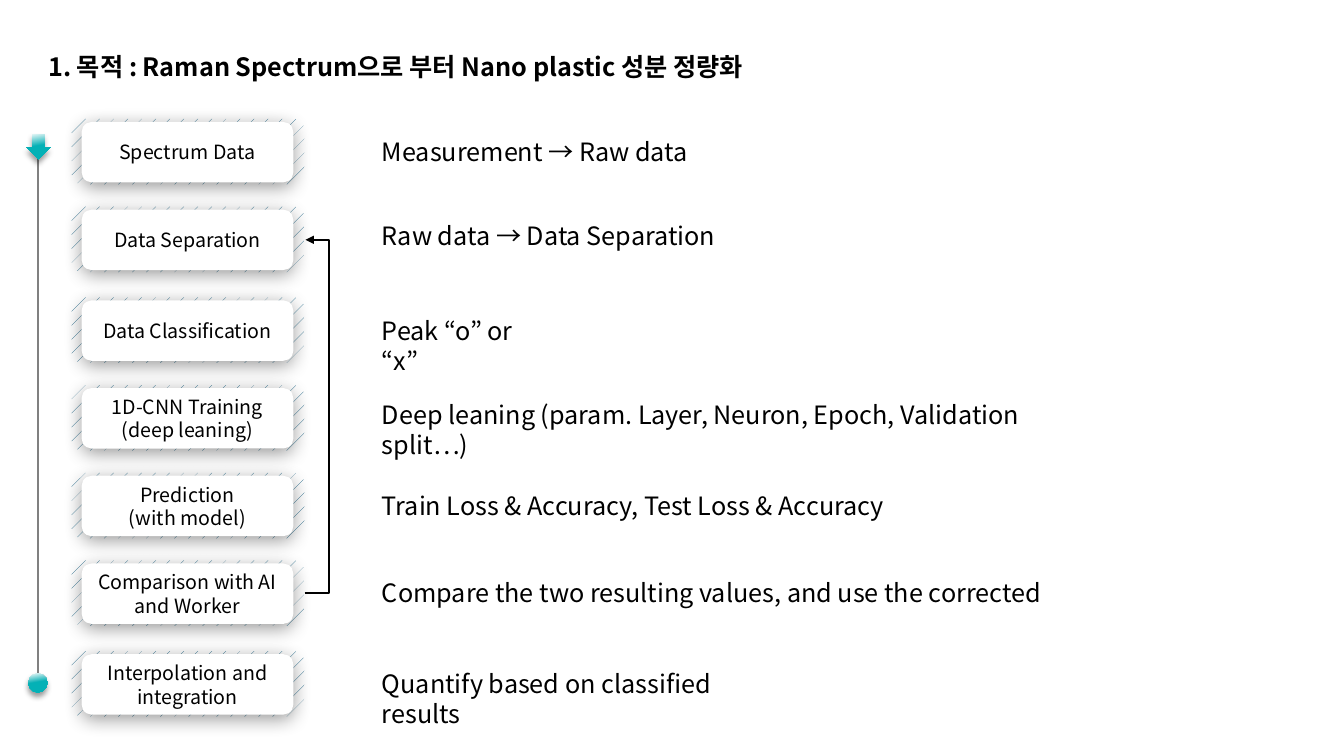
from lxml import etree
from pptx import Presentation
from pptx.dml.color import RGBColor
from pptx.enum.dml import MSO_PATTERN
from pptx.enum.shapes import MSO_CONNECTOR, MSO_SHAPE
from pptx.enum.text import MSO_ANCHOR, PP_ALIGN
from pptx.oxml.ns import qn
from pptx.util import Pt

PX = 9144  # EMU per px, 100 px to the inch
ROUND, DOWN, DOT = MSO_SHAPE.ROUNDED_RECTANGLE, MSO_SHAPE.DOWN_ARROW, MSO_SHAPE.OVAL
STRAIGHT, ELBOW = MSO_CONNECTOR.STRAIGHT, MSO_CONNECTOR.ELBOW
HATCH = MSO_PATTERN.PERCENT_5
TOP, MIDDLE = MSO_ANCHOR.TOP, MSO_ANCHOR.MIDDLE
LEFT, CENTER = PP_ALIGN.LEFT, PP_ALIGN.CENTER

COLORS = {"ink": "000000", "paper": "FFFFFF", "hatch": "156082",
          "teal": "04B1B6", "rail": "808080"}
FONT = "Noto Sans CJK KR"


def rgb(name):
    return RGBColor.from_string(COLORS[name])


class FlowSlide:
    def __init__(self, prs):
        self.s = prs.slides.add_slide(prs.slide_layouts[6])

    def shape(self, kind, box, shapes=None, blur=0):
        shapes = self.s.shapes if shapes is None else shapes
        sp = shapes.add_shape(kind, *(v * PX for v in box))
        sp.line.fill.background()
        sp.shadow.inherit = False
        if blur:
            effects = sp._element.spPr.find(qn("a:effectLst"))
            shadow = etree.SubElement(
                effects, qn("a:outerShdw"), blurRad=str(Pt(blur)), dist=str(Pt(3)),
                dir="5400000", algn="t", rotWithShape="0")
            color = etree.SubElement(shadow, qn("a:srgbClr"), val=COLORS["ink"])
            etree.SubElement(color, qn("a:alpha"), val="40000")
        return sp

    def set_text(self, tf, text, size, bold=False, align=LEFT, anchor=TOP):
        tf.word_wrap = True
        tf.vertical_anchor = anchor
        p = tf.paragraphs[0]
        p.text = text
        p.alignment = align
        for r in p.runs:
            for key, value in {"name": FONT, "size": Pt(size), "bold": bold}.items():
                setattr(r.font, key, value)
            r.font.color.rgb = rgb("ink")
            etree.SubElement(r._r.get_or_add_rPr(), qn("a:ea"), typeface=FONT)

    def text(self, box, text, bold=False):
        sp = self.s.shapes.add_textbox(*(v * PX for v in box))
        self.set_text(sp.text_frame, text, 18, bold)

    def step(self, top, text):
        shapes = self.s.shapes.add_group_shape().shapes
        plate = self.shape(ROUND, (71, top, 231, 65), shapes)
        plate.fill.patterned()
        plate.fill.pattern = HATCH
        plate.fill.fore_color.rgb = rgb("hatch")
        plate.fill.back_color.rgb = rgb("paper")
        card = self.shape(ROUND, (81, top + 3, 210, 60), shapes, blur=14)
        card.fill.solid()
        card.fill.fore_color.rgb = rgb("paper")
        self.set_text(card.text_frame, text, 14, align=CENTER, anchor=MIDDLE)

    def marker(self, kind, box):
        sp = self.shape(kind, box, blur=4)
        sp.fill.gradient()
        sp.fill.gradient_angle = 280
        for stop, (position, name) in zip(sp.fill.gradient_stops,
                                          ((0, "paper"), (0.48, "teal"))):
            stop.position = position
            stop.color.rgb = rgb(name)

    def line(self, kind, start, end, color):
        c = self.s.shapes.add_connector(kind, *(v * PX for v in start + end))
        c.line.color.rgb = rgb(color)
        c.line.width = Pt(1.5)
        etree.SubElement(c._element.spPr, qn("a:effectLst"))
        return c

    def loop_back(self, start, end, reach):
        c = self.line(ELBOW, start, end, "ink")
        spPr = c._element.spPr
        etree.SubElement(spPr.find(qn("a:ln")), qn("a:tailEnd"), type="triangle")
        # The bend lies outside the span, as a share of its width
        bend = reach * 100000 // (end[0] - start[0])
        guides = spPr.find(qn("a:prstGeom")).find(qn("a:avLst"))
        etree.SubElement(guides, qn("a:gd"), name="adj1", fmla=f"val {bend}")


# Step top and name; note top, width and wording
STEPS = [
    (118, "Spectrum Data", 130, 336, "Measurement → Raw data"),
    (205, "Data Separation", 214, 357, "Raw data → Data Separation"),
    (295, "Data Classification", 308, 188, "Peak “o” or “x”"),
    (382, "1D-CNN Training\n(deep leaning)", 391, 727,
     "Deep leaning (param. Layer, Neuron, Epoch, Validation split…)"),
    (469, "Prediction\n(with model)", 482, 527,
     "Train Loss & Accuracy, Test Loss & Accuracy"),
    (556, "Comparison with AI and Worker", 568, 678,
     "Compare the two resulting values, and use the corrected"),
    (646, "Interpolation and integration", 658, 426,
     "Quantify based on classified results"),
]


def main():
    prs = Presentation()
    prs.slide_width, prs.slide_height = 1333 * PX, 750 * PX
    slide = FlowSlide(prs)

    # Process steps
    for top, name, *_ in STEPS:
        slide.step(top, name)

    # Timeline on the left
    slide.line(STRAIGHT, (38, 146), (38, 677), "rail")
    slide.marker(DOWN, (26, 133, 24, 25))
    slide.marker(DOT, (28, 668, 19, 19))

    # Title and notes
    slide.text((38, 46, 754, 40),
               "1. 목적 : Raman Spectrum으로 부터 Nano plastic 성분 정량화", bold=True)
    for _, _, top, width, note in STEPS:
        slide.text((369, top, width, 40), note)

    # Feedback from comparison to separation
    slide.loop_back((302, 588), (303, 238), reach=25)

    prs.save("out.pptx")


if __name__ == "__main__":
    main()
